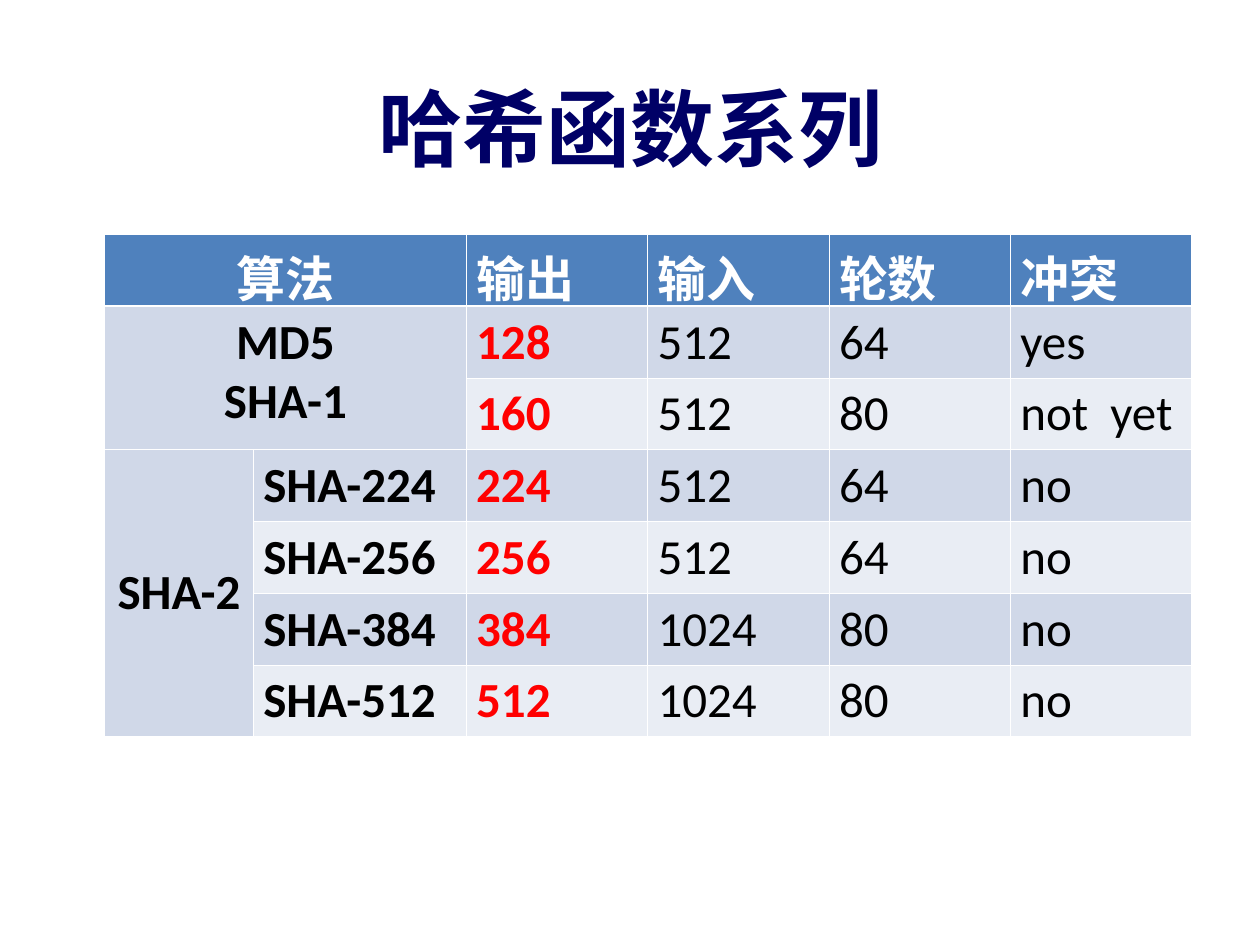
"""Build the slide that compares hash function families in a table."""
from dataclasses import dataclass

from lxml.etree import SubElement
from pptx import Presentation
from pptx.dml.color import RGBColor
from pptx.enum.text import MSO_ANCHOR, PP_ALIGN
from pptx.oxml.ns import qn
from pptx.util import Inches, Pt

COLORS = {"title": "000066", "header": "4F81BD", "odd": "D0D8E8", "even": "E9EDF4",
          "white": "FFFFFF", "black": "000000", "output": "FF0000"}
MARGINS = {"margin_left": Inches(0.08), "margin_right": Inches(0.08),
           "margin_top": Inches(0.05), "margin_bottom": Inches(0.05)}
COL_WIDTHS = [1.18, 1.69] + [1.44] * 4
ROW_HEIGHT = 0.57
ROWS = [
    ["算法", "", "输出", "输入", "轮数", "冲突"],
    ["MD5\nSHA-1", "", "128", "512", "64", "yes"],
    ["", "", "160", "512", "80", "not  yet"],
    ["SHA-2", "SHA-224", "224", "512", "64", "no"],
    ["", "SHA-256", "256", "512", "64", "no"],
    ["", "SHA-384", "384", "1024", "80", "no"],
    ["", "SHA-512", "512", "1024", "80", "no"],
]


@dataclass
class Style:
    color: str
    size: float = 28
    name: str = "Calibri"
    bold: bool = True
    align: PP_ALIGN = PP_ALIGN.LEFT


@dataclass
class Span:
    row: int
    col: int
    last_row: int
    last_col: int


SPANS = [Span(0, 0, 0, 1), Span(1, 0, 2, 1), Span(3, 0, 6, 0)]


def rgb(key: str) -> RGBColor:
    return RGBColor.from_string(COLORS[key])


def write(tf, text: str, style: Style) -> None:
    tf.text = text
    font_values = {"size": Pt(style.size), "name": style.name, "bold": style.bold}
    for p in tf.paragraphs:
        p.alignment = style.align
        for r in p.runs:
            for key, value in font_values.items():
                setattr(r.font, key, value)
            r.font.color.rgb = rgb(style.color)


def set_borders(cell, row: int) -> None:
    tcPr = cell._tc.get_or_add_tcPr()
    widths = {"lnL": 0.45, "lnR": 0.45, "lnT": 1.47 if row == 1 else 0.45,
              "lnB": 1.47 if row == 0 else 0.45}
    for i, (tag, width) in enumerate(widths.items()):
        ln = SubElement(tcPr, qn(f"a:{tag}"), w=str(Pt(width)))
        fill = SubElement(ln, qn("a:solidFill"))
        SubElement(fill, qn("a:srgbClr"), val=COLORS["white"])
        tcPr.insert(i, ln)


def cell_style(row: int, col: int) -> Style:
    align = PP_ALIGN.CENTER if col == 0 else PP_ALIGN.LEFT
    if row == 0:
        return Style("white", align=align)
    return Style("output" if col == 2 else "black", bold=col <= 2, align=align)


def add_title(s, text: str) -> None:
    tf = s.shapes.add_textbox(Inches(0.69), Inches(0.67), Inches(8.63), Inches(0.67)).text_frame
    for key, value in {"word_wrap": True, "vertical_anchor": MSO_ANCHOR.MIDDLE}.items():
        setattr(tf, key, value)
    write(tf, text, Style("title", 48, "Times New Roman", align=PP_ALIGN.CENTER))


def add_hash_table(s) -> None:
    table = s.shapes.add_table(len(ROWS), len(COL_WIDTHS), Inches(0.83), Inches(1.86),
                               Inches(sum(COL_WIDTHS)), Inches(ROW_HEIGHT * len(ROWS))).table
    for column, width in zip(table.columns, COL_WIDTHS):
        column.width = Inches(width)
    for i, values in enumerate(ROWS):
        table.rows[i].height = Inches(ROW_HEIGHT)
        band = "header" if i == 0 else "odd" if i % 2 else "even"
        for j, text in enumerate(values):
            cell = table.cell(i, j)
            for key, value in MARGINS.items():
                setattr(cell, key, value)
            cell.fill.solid()
            cell.fill.fore_color.rgb = rgb(band)
            set_borders(cell, i)
            if text:
                write(cell.text_frame, text, cell_style(i, j))
    for span in SPANS:
        table.cell(span.row, span.col).merge(table.cell(span.last_row, span.last_col))
    table.cell(3, 0).vertical_anchor = MSO_ANCHOR.MIDDLE


def main() -> None:
    prs = Presentation()
    prs.slide_width, prs.slide_height = Inches(10), Inches(7.5)
    s = prs.slides.add_slide(prs.slide_layouts[6])
    add_title(s, "哈希函数系列")
    add_hash_table(s)
    prs.save("out.pptx")


if __name__ == "__main__":
    main()
